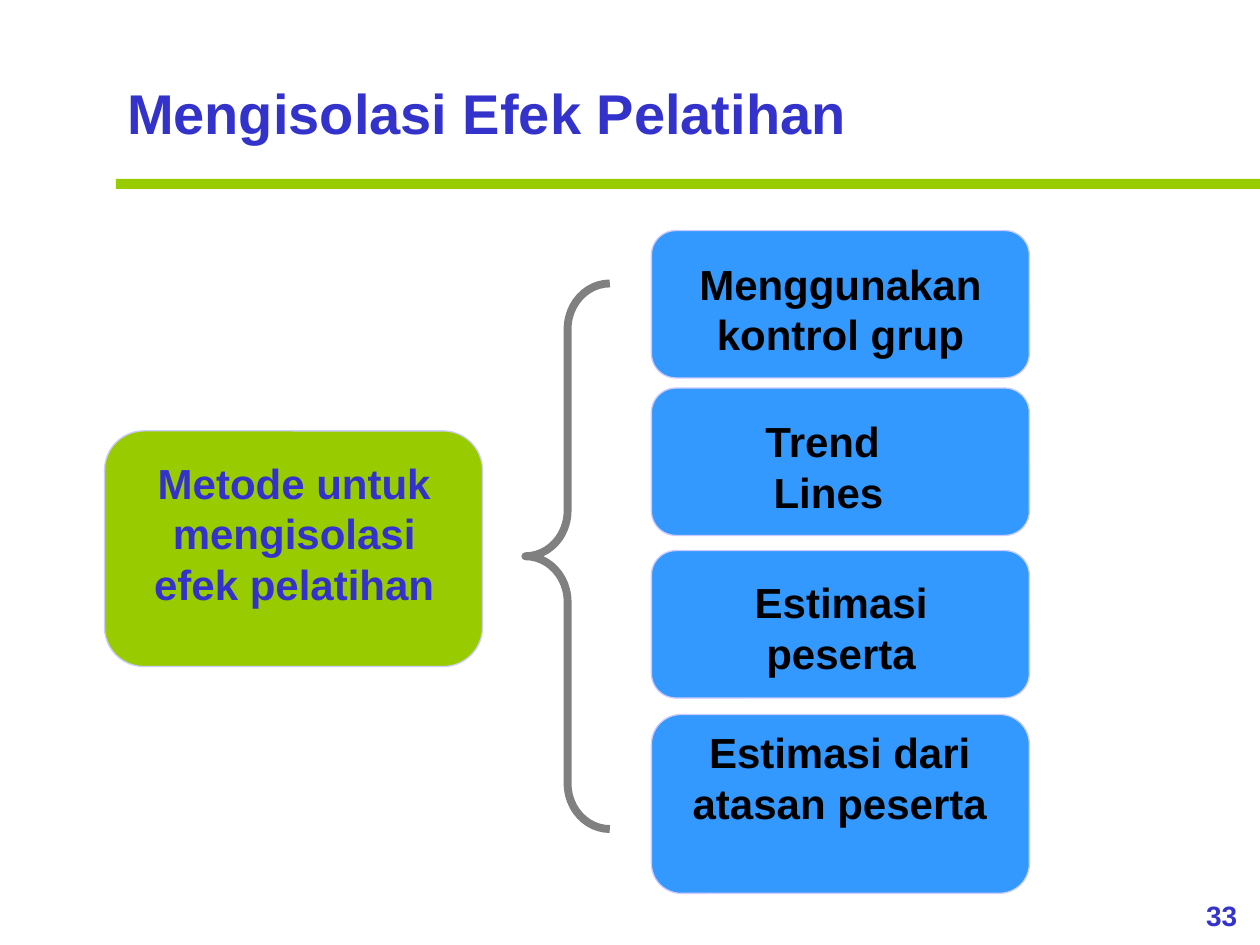
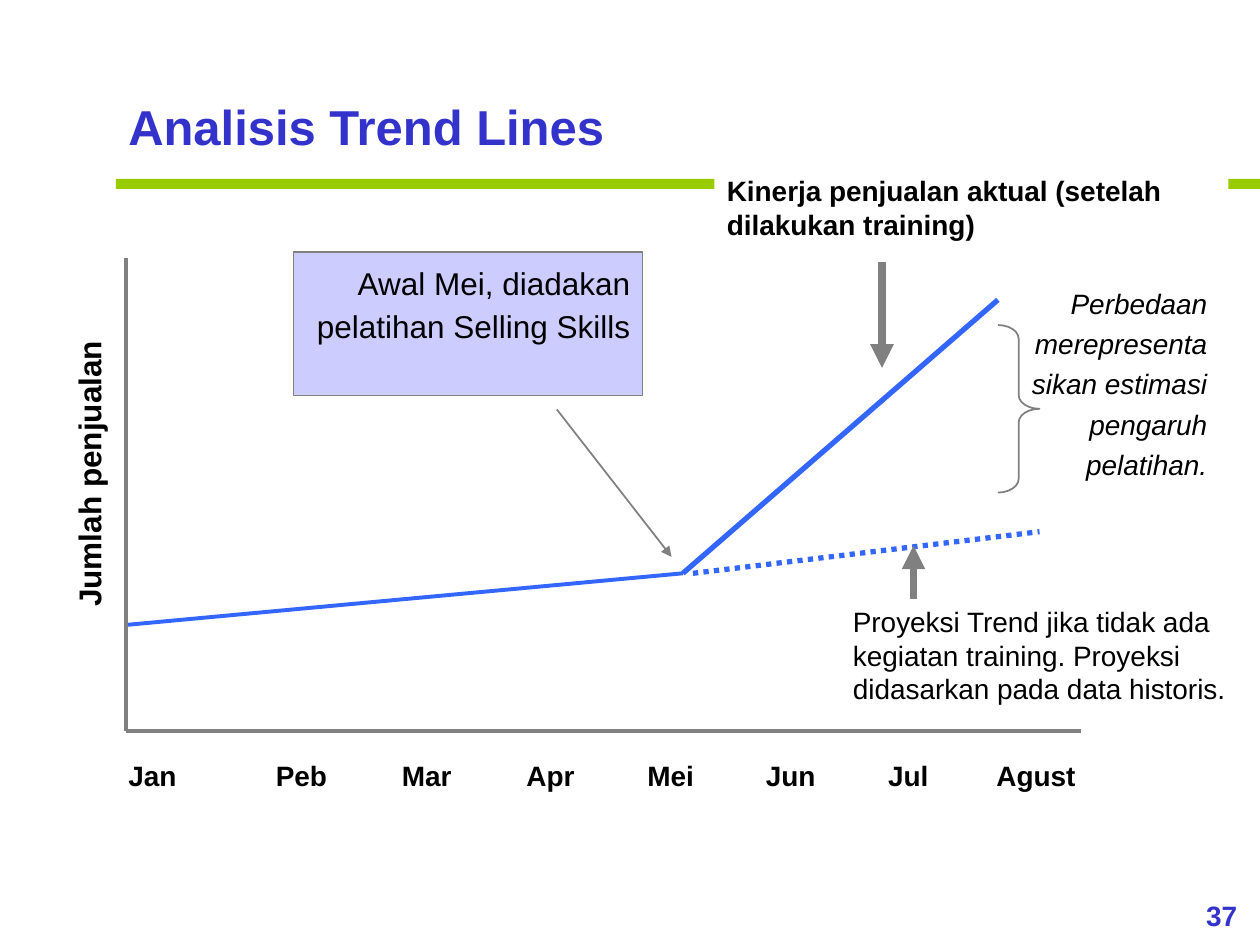
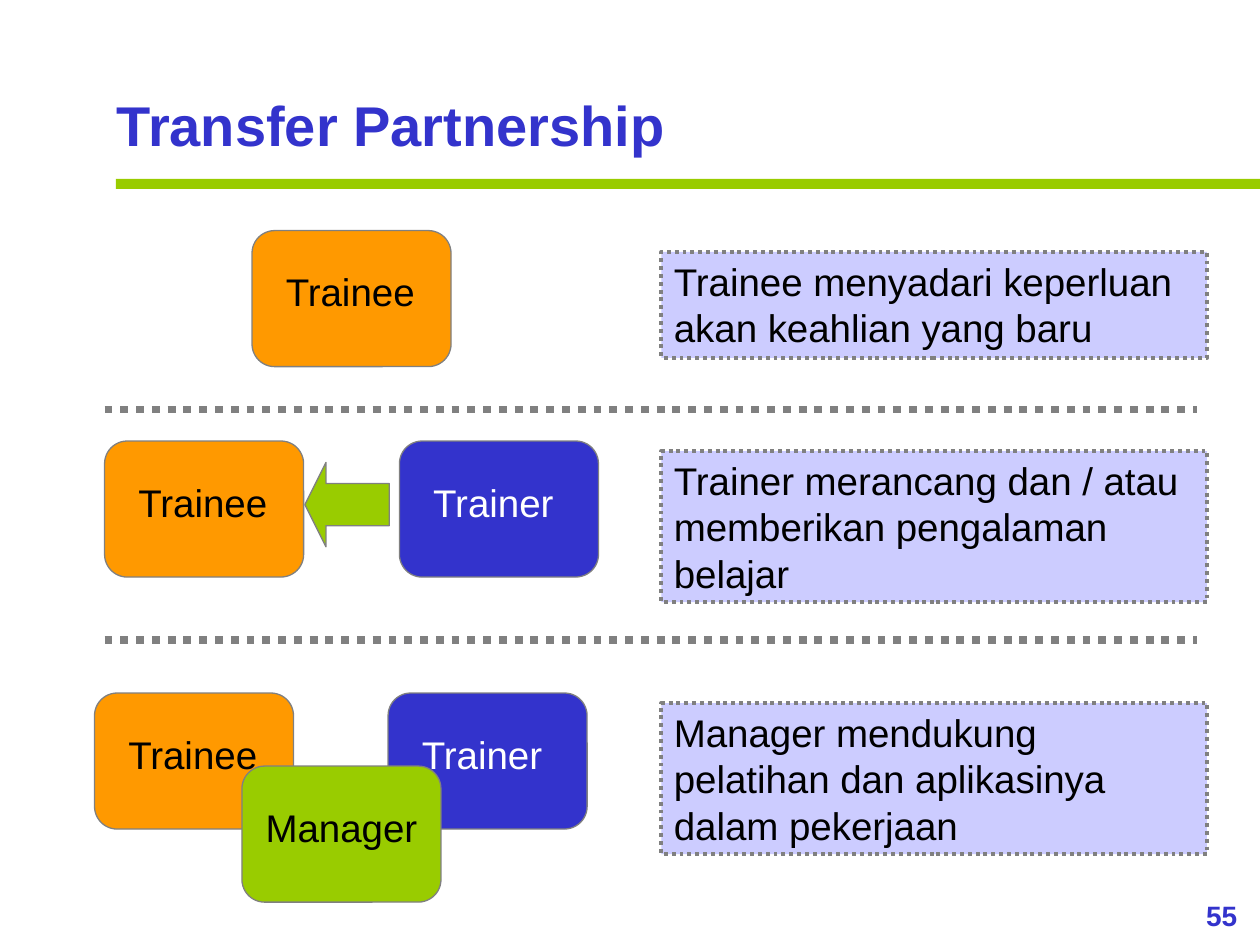
from lxml import etree
from pptx import Presentation
from pptx.dml.color import RGBColor
from pptx.enum.dml import MSO_LINE
from pptx.enum.shapes import MSO_CONNECTOR, MSO_SHAPE
from pptx.enum.text import MSO_ANCHOR, MSO_AUTO_SIZE, PP_ALIGN
from pptx.oxml.ns import qn
from pptx.util import Inches, Pt

FONT = "Arial"
INDIGO = RGBColor(0x33, 0x33, 0xCC)
GREEN = RGBColor(0x99, 0xCC, 0x00)
SKY = RGBColor(0x33, 0x99, 0xFF)
TREND = RGBColor(0x33, 0x66, 0xFF)
LAVENDER = RGBColor(0xCC, 0xCC, 0xFF)
ORANGE = RGBColor(0xFF, 0x99, 0x00)
GRAY = RGBColor(0x80, 0x80, 0x80)
BLACK = RGBColor(0, 0, 0)
WHITE = RGBColor(0xFF, 0xFF, 0xFF)

RECT, ROUND = MSO_SHAPE.RECTANGLE, MSO_SHAPE.ROUNDED_RECTANGLE
LEFT_ARROW = MSO_SHAPE.LEFT_ARROW
LEFT_BRACE, RIGHT_BRACE = MSO_SHAPE.LEFT_BRACE, MSO_SHAPE.RIGHT_BRACE
LEFT, CENTER, RIGHT = PP_ALIGN.LEFT, PP_ALIGN.CENTER, PP_ALIGN.RIGHT
DOT = MSO_LINE.ROUND_DOT
GROW = MSO_AUTO_SIZE.SHAPE_TO_FIT_TEXT
TOP = MSO_ANCHOR.TOP
STRAIGHT = MSO_CONNECTOR.STRAIGHT


def add_box(s, at, text="", size=16, color=BLACK, bold=False, italic=False,
            align=LEFT, spacing=None, wrap=True, shape=None, fill=None,
            line=None, width=0.75, dash=None, adj=None):
    """Add a preset shape, or a text box when no shape is given."""
    at = [Inches(v) for v in at]
    if shape is None:
        sp = s.shapes.add_textbox(*at)
    else:
        sp = s.shapes.add_shape(shape, *at)
        sp.shadow.inherit = False
        if adj:
            sp.adjustments[0] = adj
        if fill is None:
            sp.fill.background()
        else:
            sp.fill.solid()
            sp.fill.fore_color.rgb = fill
        if line is None:
            sp.line.fill.background()
        else:
            sp.line.color.rgb = line
            sp.line.width = Pt(width)
            if dash:
                sp.line.dash_style = dash
    if text:
        tf = sp.text_frame
        tf.word_wrap = wrap
        tf.auto_size = GROW
        tf.vertical_anchor = TOP
        for i, part in enumerate(text.split("\n")):
            p = tf.add_paragraph() if i else tf.paragraphs[0]
            p.alignment = align
            if spacing:
                p.line_spacing = spacing
            r = p.add_run()
            r.text = part
            r.font.name, r.font.size = FONT, Pt(size)
            r.font.bold, r.font.italic = bold, italic
            r.font.color.rgb = color
    return sp


def add_line(s, points, color=GRAY, width=4.5, dash=None, arrow=False):
    c = s.shapes.add_connector(STRAIGHT, *[Inches(v) for v in points])
    c.line.color.rgb = color
    c.line.width = Pt(width)
    if dash:
        c.line.dash_style = dash
    sp_pr = c._element.spPr
    if arrow:
        etree.SubElement(sp_pr.find(qn("a:ln")), qn("a:tailEnd"), type="triangle")
    etree.SubElement(sp_pr, qn("a:effectLst"))


prs = Presentation()
prs.slide_width, prs.slide_height = Inches(10), Inches(7.5)

# Shared frame: page number, green band, title
slides = []
for number, title, at, size, spacing in [
    ("33", "Mengisolasi Efek Pelatihan", (0.91, 0.52, 5.91, 0.69), 32, 1.1),
    ("37", "Analisis Trend Lines", (0.92, 0.67, 4, 0.62), 28, 1.1),
    ("55", "Transfer Partnership", (0.83, 0.67, 4.57, 0.64), 32, None),
]:
    s = prs.slides.add_slide(prs.slide_layouts[6])
    add_box(s, (9.39, 7.08, 0.61, 0.37), number, 16, INDIGO, bold=True, align=CENTER)
    add_box(s, (0.92, 1.42, 9.08, 0.08), shape=RECT, fill=GREEN)
    add_box(s, at, title, size, INDIGO, bold=True, spacing=spacing, wrap=False)
    slides.append(s)
isolation, trend, partnership = slides

# Slide 1: topic, brace and four methods
s = isolation
add_box(s, (0.83, 3.42, 3, 1.87), shape=ROUND, fill=GREEN, line=LAVENDER)
add_box(s, (1, 3.58, 2.67, 1.3), "Metode untuk mengisolasi efek pelatihan", 24,
        INDIGO, bold=True, align=CENTER)
add_box(s, (4.17, 2.25, 0.67, 4.33), shape=LEFT_BRACE, line=GRAY, width=4.5, adj=0.54)
for top, height, text, x, y, w in [
    (1.83, 1.17, "Menggunakan kontrol grup", 5.42, 2, 2.5),
    (3.08, 1.17, "Trend \nLines", 5.5, 3.25, 2.15),
    (4.37, 1.17, "Estimasi peserta", 5.6, 4.53, 2.15),
    (5.67, 1.42, "Estimasi dari atasan peserta", 5.33, 5.72, 2.67),
]:
    add_box(s, (5.17, top, 3, height), shape=ROUND, fill=SKY, line=LAVENDER)
    add_box(s, (x, y, w, 0.9), text, 24, bold=True, align=CENTER)

# Slide 2: axes and trend lines
s = trend
add_line(s, (1, 5.8, 8.58, 5.8), width=2.25)
add_line(s, (1, 4.96, 5.42, 4.55), TREND, 2.25)
add_line(s, (5.5, 4.55, 8.25, 4.22), TREND, 3, DOT)
add_line(s, (5.42, 4.55, 7.92, 2.38), TREND, 3)
add_line(s, (1, 5.8, 1, 2.05), width=2.25)

# Axis labels
for month, x in [("Jan", 0.92), ("Peb", 2.09), ("Mar", 3.09), ("Apr", 4.08),
                 ("Mei", 5.04), ("Jun", 5.98), ("Jul", 6.95), ("Agust", 7.81)]:
    add_box(s, (x, 5.97, 0.92, 0.37), month, bold=True)
axis_title = add_box(s, (-0.97, 3.56, 3.35, 0.4), "Jumlah penjualan", 18,
                     bold=True, align=CENTER)
axis_title.rotation = 270

# Annotations
add_line(s, (4.42, 3.25, 5.33, 4.42), width=1, arrow=True)
add_box(s, (2.33, 2, 2.77, 1.14), "Awal Mei, diadakan pelatihan Selling Skills", 18,
        align=RIGHT, spacing=1.15, shape=RECT, fill=LAVENDER, line=GRAY)
add_box(s, (7.92, 2.58, 0.33, 1.33), shape=RIGHT_BRACE, line=GRAY, width=1, adj=0.33)
add_box(s, (8.08, 2.17, 1.6, 1.7),
        "Perbedaan merepresentasikan estimasi pengaruh pelatihan.",
        italic=True, align=RIGHT, spacing=1.2)
add_box(s, (6.67, 4.75, 3.25, 0.9),
        "Proyeksi Trend jika tidak ada kegiatan training. "
        "Proyeksi didasarkan pada data historis.")
add_line(s, (7.25, 4.75, 7.25, 4.33), arrow=True)
add_box(s, (5.67, 1.33, 4.08, 0.64),
        "Kinerja penjualan aktual (setelah dilakukan training)",
        bold=True, shape=RECT, fill=WHITE)
add_line(s, (7, 2.08, 7, 2.92), arrow=True)

# Slide 3: roles in three stages
s = partnership
ROLES = {  # fill, text colour, text offset, text width
    "Trainee": (ORANGE, BLACK, 0.17, 1.25),
    "Trainer": (INDIGO, WHITE, 0.17, 1.2),
    "Manager": (GREEN, BLACK, 0.09, 1.46),
}
for role, x, y in [
    ("Trainee", 2, 1.83),
    ("Trainee", 0.83, 3.5), ("Trainer", 3.17, 3.5),
    ("Trainee", 0.75, 5.5), ("Trainer", 3.08, 5.5), ("Manager", 1.92, 6.08),
]:
    fill, color, offset, width = ROLES[role]
    add_box(s, (x, y, 1.58, 1.08), shape=ROUND, fill=fill, line=GRAY)
    add_box(s, (x + offset, y + 0.25, width, 0.47), role, 22, color, wrap=False)
arrow = add_box(s, (2.42, 3.67, 0.67, 0.67), shape=LEFT_ARROW, fill=GREEN, line=GRAY)
arrow.adjustments[1] = 0.25

# Stage descriptions and dividers
for y, height, text in [
    (2, 0.84, "Trainee menyadari keperluan akan keahlian yang baru"),
    (3.58, 1.2, "Trainer merancang dan / atau memberikan pengalaman belajar"),
    (5.58, 1.2, "Manager mendukung pelatihan dan aplikasinya dalam pekerjaan"),
]:
    add_box(s, (5.25, y, 4.33, height), text, 22, shape=RECT, fill=LAVENDER,
            line=GRAY, width=2.25, dash=DOT)
for y in (3.25, 5.08):
    add_line(s, (0.83, y, 9.5, y), dash=DOT)

prs.save("out.pptx")
